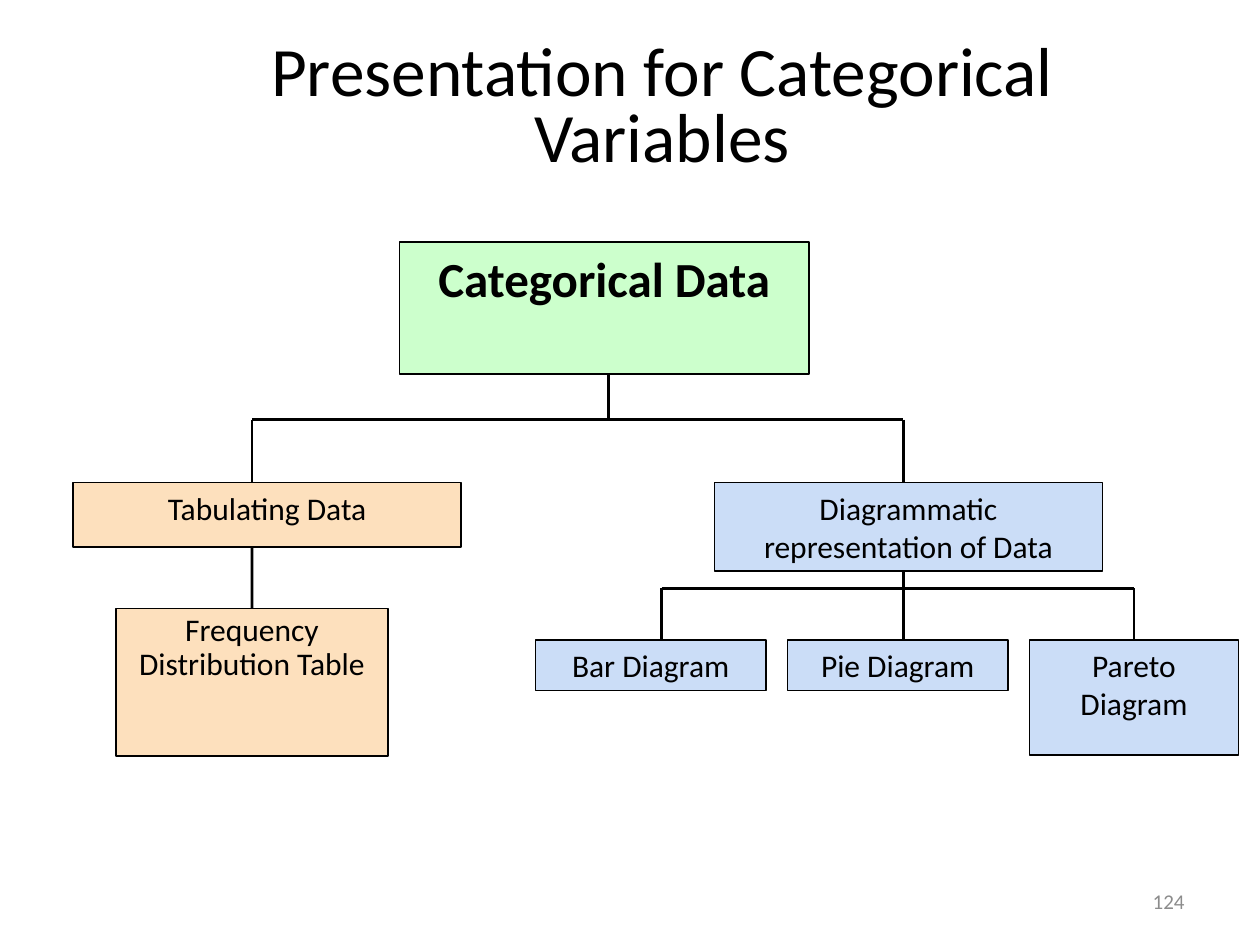
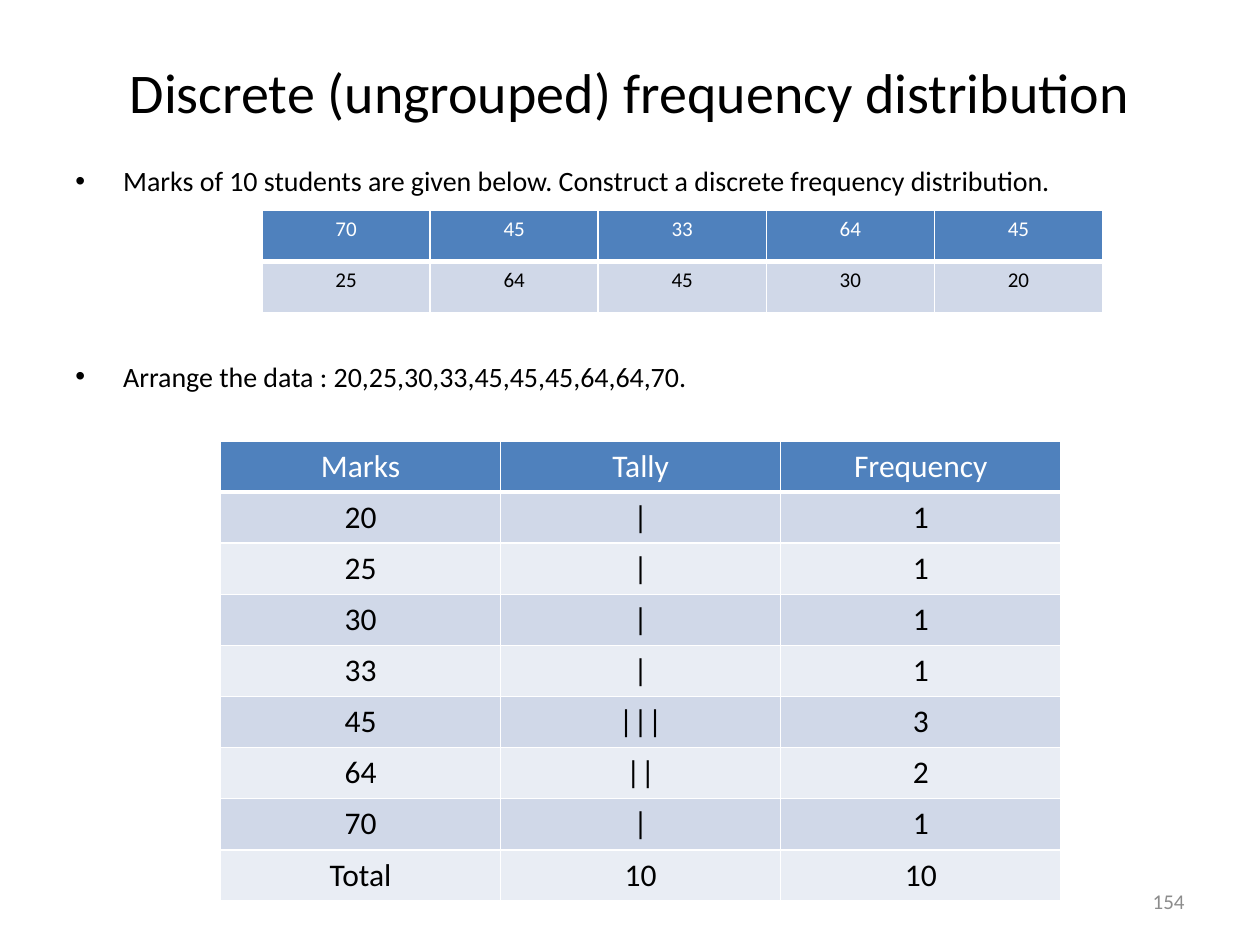
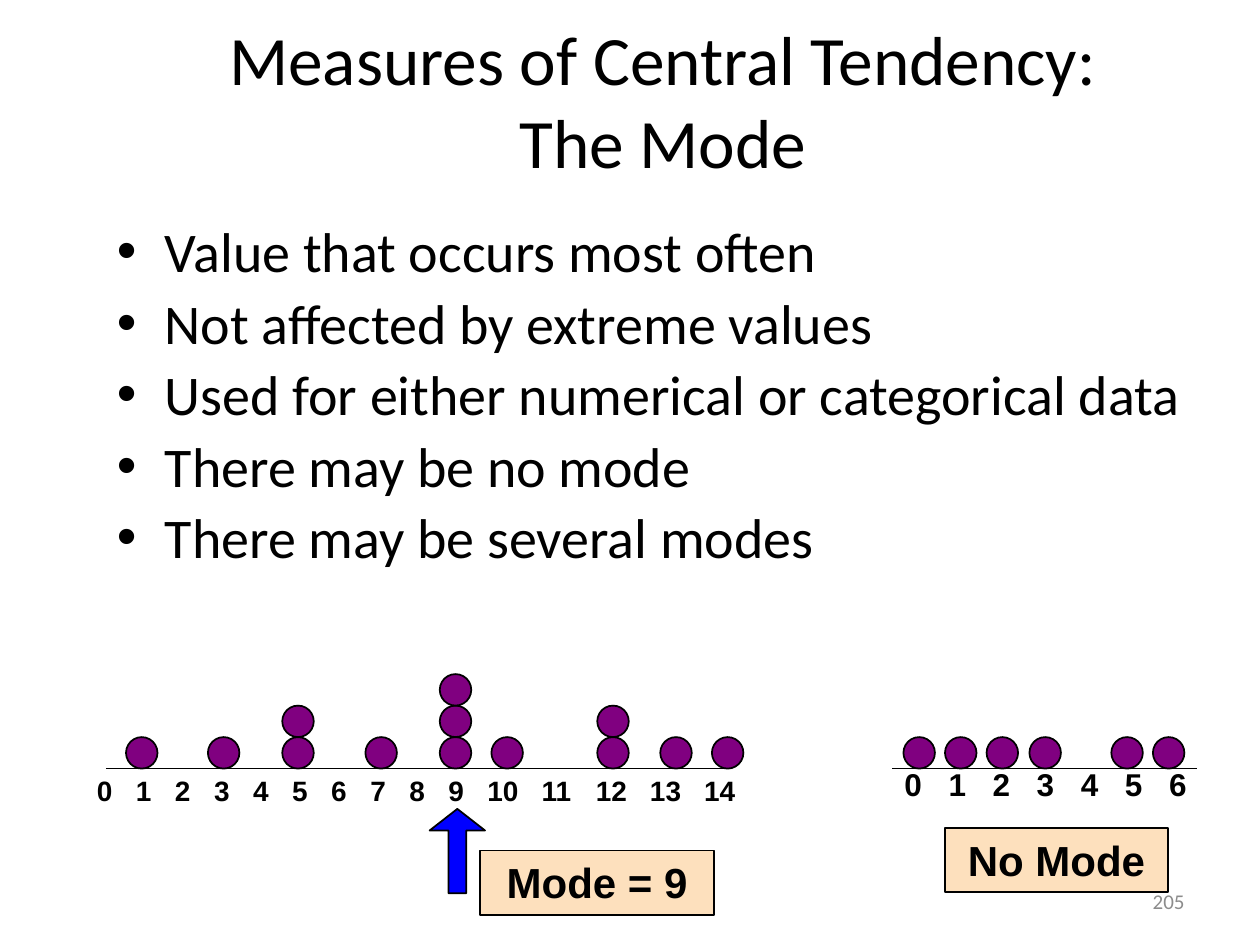
"""Build three statistics slides: a chart tree, frequency tables and the mode."""
from dataclasses import dataclass

from lxml import etree
from pptx import Presentation
from pptx.dml.color import RGBColor
from pptx.enum import shapes, text
from pptx.oxml import ns
from pptx.util import Inches, Pt


@dataclass(frozen=True)
class Theme:
    """Colours, fonts and type sizes shared by the slides."""
    ink: str = "000000"
    white: str = "FFFFFF"
    muted: str = "8C8C8C"
    green: str = "CCFFCC"
    peach: str = "FDE0BD"
    sky: str = "CBDDF7"
    purple: str = "800080"
    blue: str = "0000FF"
    header: str = "4F81BD"
    bands: tuple = ("D0D8E8", "E9EDF4")
    body_font: str = "Calibri"
    plot_font: str = "Arial"
    title: float = 39.6
    small_title: float = 32
    bullet: float = 32
    heading: float = 28
    verdict: float = 24
    label: float = 18
    note: float = 16
    footer: float = 12


@dataclass(frozen=True)
class Box:
    """A rectangle in inches."""
    left: float
    top: float
    width: float
    height: float

    def inner(self, left, top, width, height):
        """Return a rectangle offset from this one's corner."""
        return Box(self.left + left, self.top + top, width, height)

    def lengths(self):
        """Return the rectangle as slide lengths."""
        return [Inches(n) for n in (self.left, self.top, self.width, self.height)]


THEME = Theme()
ALIGN = text.PP_ALIGN
ANCHOR = text.MSO_ANCHOR
FOOTER = Box(7.17, 6.95, 2.33, 0.4)
DOT = 0.25


def rgb(colour):
    """Turn a hex string into a colour."""
    return RGBColor.from_string(colour)


def style(para, size, colour=THEME.ink, font=THEME.body_font, bold=False, align=ALIGN.LEFT):
    """Format a paragraph and its runs."""
    para.alignment = align
    for span in para.runs:
        span.font.name = font
        span.font.size = Pt(size)
        span.font.bold = bold
        span.font.color.rgb = rgb(colour)


def add_text(page, box, words, size, anchor=ANCHOR.TOP, spacing=None, **look):
    """Add a wrapped text box with one paragraph and return that paragraph."""
    frame = page.shapes.add_textbox(*box.lengths()).text_frame
    frame.word_wrap = True
    frame.vertical_anchor = anchor
    frame.text = words
    para = frame.paragraphs[0]
    para.line_spacing = spacing
    style(para, size, **look)
    return para


def add_title(page, box, words, size=THEME.title, spacing=None):
    """Add the centred slide title."""
    add_text(page, box, words, size, ANCHOR.MIDDLE, spacing, align=ALIGN.CENTER)


def add_footer(page, number):
    """Add the page number."""
    add_text(page, FOOTER, str(number), THEME.footer, ANCHOR.MIDDLE,
             colour=THEME.muted, align=ALIGN.RIGHT)


def add_bullets(page, box, lines, size, gap):
    """Add a bulleted list with an equal gap between its paragraphs."""
    frame = page.shapes.add_textbox(*box.lengths()).text_frame
    frame.word_wrap = True
    frame.text = "\n".join(lines)
    for index, para in enumerate(frame.paragraphs):
        props = para._p.get_or_add_pPr()
        props.set("marL", str(Inches(0.38)))
        props.set("indent", str(-Inches(0.38)))
        etree.SubElement(props, ns.qn("a:buFont"), typeface=THEME.plot_font)
        etree.SubElement(props, ns.qn("a:buChar"), char="•")
        if index:
            para.space_before = Pt(gap)
        style(para, size)


def add_figure(page, kind, box, fill):
    """Add an outlined preset shape."""
    figure = page.shapes.add_shape(kind, *box.lengths())
    figure.shadow.inherit = False
    figure.fill.solid()
    figure.fill.fore_color.rgb = rgb(fill)
    figure.line.color.rgb = rgb(THEME.ink)
    figure.line.width = Pt(1)
    return figure


def add_panel(page, box, words, fill, size=THEME.label, spacing=None, **look):
    """Add a filled rectangle with centred text at its top."""
    panel = add_figure(page, shapes.MSO_SHAPE.RECTANGLE, box, fill)
    frame = panel.text_frame
    frame.word_wrap = True
    frame.vertical_anchor = ANCHOR.TOP
    frame.text = words
    frame.paragraphs[0].line_spacing = spacing
    style(frame.paragraphs[0], size, align=ALIGN.CENTER, **look)
    return panel


def add_line(page, box, start, end, width):
    """Add a straight line between two points of a box."""
    points = [Inches(n) for x, y in (start, end) for n in (box.left + x, box.top + y)]
    line = page.shapes.add_connector(shapes.MSO_CONNECTOR.STRAIGHT, *points)
    line.line.color.rgb = rgb(THEME.ink)
    line.line.width = Pt(width)
    etree.SubElement(line._element.spPr, ns.qn("a:effectLst"))
    return line


def add_tree(page, area):
    """Add the tree of ways to present categorical data."""
    branches = [
        ((6.67, 2.83), (6.67, 3.58)),
        ((4.33, 1.08), (4.33, 1.83)),
        ((1.5, 1.83), (6.67, 1.83)),
        ((1.5, 1.83), (1.5, 2.58)),
        ((6.67, 1.83), (6.67, 2.33)),
        ((4.75, 3.17), (8.5, 3.17)),
        ((4.75, 3.17), (4.75, 3.58)),
    ]
    for start, end in branches:
        add_line(page, area, start, end, 1.5)
    add_panel(page, area.inner(2.67, 0.42, 3.25, 1.05), "Categorical Data",
              THEME.green, THEME.heading, bold=True)
    add_panel(page, area.inner(5.17, 2.33, 3.08, 0.7),
              "Diagrammatic representation of Data", THEME.sky)
    add_panel(page, area.inner(5.75, 3.58, 1.75, 0.4), "Pie Diagram", THEME.sky)
    pareto = add_panel(page, area.inner(7.67, 3.58, 1.66, 0.91), "Pareto Diagram", THEME.sky)
    add_panel(page, area.inner(3.75, 3.58, 1.83, 0.4), "Bar Diagram", THEME.sky)
    frequency = add_panel(page, area.inner(0.42, 3.33, 2.16, 1.17),
                          "Frequency Distribution Table", THEME.peach, spacing=0.9)
    add_panel(page, area.inner(0.08, 2.33, 3.08, 0.51), "Tabulating Data", THEME.peach)
    add_line(page, area, (8.5, 3.17), (8.5, 3.58), 1.5).end_connect(pareto, 0)
    add_line(page, area, (1.5, 2.84), (1.5, 3.33), 1.5).end_connect(frequency, 0)


def add_borders(cell, bottom):
    """Give a cell white borders with the bottom one in its own width."""
    props = cell._tc.get_or_add_tcPr()
    for side, width in (("L", 1), ("R", 1), ("T", 1), ("B", bottom)):
        line = etree.SubElement(props, ns.qn("a:ln" + side), w=str(Pt(width)))
        fill = etree.SubElement(line, ns.qn("a:solidFill"))
        etree.SubElement(fill, ns.qn("a:srgbClr"), val=THEME.white)


def add_grid(page, box, rows, size):
    """Add a table with a header row and banded rows."""
    table = page.shapes.add_table(len(rows), len(rows[0]), *box.lengths()).table
    for r, values in enumerate(rows):
        for c, value in enumerate(values):
            cell = table.cell(r, c)
            add_borders(cell, 1 if r else 3)
            cell.fill.solid()
            cell.fill.fore_color.rgb = rgb(THEME.bands[(r - 1) % 2] if r else THEME.header)
            cell.text = str(value)
            style(cell.text_frame.paragraphs[0], size,
                  THEME.ink if r else THEME.white, align=ALIGN.CENTER)


def add_dot_plot(page, area, axis, stacks, labels, stops, label_top, size):
    """Add an axis, its tabbed labels and stacks of dots."""
    base = 3 * DOT
    add_line(page, area, (axis[0], base), (axis[1], base), 1)
    para = add_text(page, area.inner(0, label_top, area.width, 0.4), "\t".join(labels),
                    size, font=THEME.plot_font, bold=True)
    tabs = etree.SubElement(para._p.get_or_add_pPr(), ns.qn("a:tabLst"))
    for stop in stops:
        etree.SubElement(tabs, ns.qn("a:tab"), pos=str(Inches(stop)), algn="l")
    for left, count in stacks:
        for level in range(count):
            add_figure(page, shapes.MSO_SHAPE.OVAL,
                       area.inner(left, base - (level + 1) * DOT, DOT, DOT), THEME.purple)


def add_verdict(page, box, words):
    """Add the panel that states a plot's mode."""
    add_panel(page, box, words, THEME.peach, THEME.verdict, font=THEME.plot_font, bold=True)


def add_single_mode(page, area):
    """Add the plot whose most frequent value is nine."""
    stacks = [(0.33, 1), (0.98, 1), (1.57, 2), (2.23, 1), (2.82, 3),
              (3.23, 1), (4.07, 2), (4.57, 1), (4.98, 1)]
    stops = [0.31 * min(n, 10) + 0.43 * max(n - 10, 0) for n in range(1, 15)]
    add_dot_plot(page, area, (0.17, 5.09), stacks, [str(n) for n in range(15)],
                 stops, 0.74, THEME.note)
    add_verdict(page, area.inner(3.14, 1.4, 1.86, 0.51), "Mode = 9")
    arrow = add_figure(page, shapes.MSO_SHAPE.UP_ARROW,
                       area.inner(2.74, 1.07, 0.44, 0.67), THEME.blue)
    arrow.adjustments[0] = 0.32
    arrow.adjustments[1] = 0.39


def add_no_mode(page, area):
    """Add the plot in which no value repeats."""
    stacks = [(left, 1) for left in (0.09, 0.42, 0.75, 1.09, 1.74, 2.07)]
    add_dot_plot(page, area, (0, 2.42), stacks, [str(n) for n in range(7)],
                 [0.35 * n for n in range(1, 7)], 0.67, THEME.label)
    add_verdict(page, area.inner(0.42, 1.22, 1.77, 0.51), "No Mode")


def tree_page(page):
    """Fill the slide on presenting categorical variables."""
    add_title(page, Box(1.42, 0.33, 7.67, 1.08),
              "Presentation for Categorical Variables", spacing=0.8)
    add_tree(page, Box(0.5, 1.5, 9.4, 4.5))
    add_footer(page, 124)


def frequency_page(page):
    """Fill the slide on the discrete frequency distribution."""
    add_title(page, Box(0.5, 0.37, 9, 0.7),
              "Discrete (ungrouped) frequency distribution", THEME.small_title)
    add_bullets(page, Box(0.5, 1.25, 9, 6.08), [
        "Marks of 10 students are given below. Construct a discrete frequency distribution.",
        "Arrange the data : 20,25,30,33,45,45,45,64,64,70.",
    ], THEME.note, 92.5)
    add_grid(page, Box(2.08, 1.67, 6.67, 0.81),
             [(70, 45, 33, 64, 45), (25, 64, 45, 30, 20)], THEME.footer)
    counts = {20: 1, 25: 1, 30: 1, 33: 1, 45: 3, 64: 2, 70: 1}
    total = sum(counts.values())
    rows = [("Marks", "Tally", "Frequency")]
    rows += [(mark, "|" * count, count) for mark, count in counts.items()]
    rows.append(("Total", total, total))
    add_grid(page, Box(1.75, 3.5, 6.67, 3.65), rows, THEME.label)
    add_footer(page, 154)


def mode_page(page):
    """Fill the slide on the mode."""
    add_title(page, Box(1, 0.25, 8.52, 1.08), "Measures of Central Tendency:\vThe Mode")
    add_bullets(page, Box(0.83, 1.67, 8.83, 4.96), [
        "Value that occurs most often",
        "Not affected by extreme values",
        "Used for either numerical or categorical data",
        "There may be no mode",
        "There may be several modes",
    ], THEME.bullet, 2.5)
    add_single_mode(page, Box(0.67, 5.35, 5.92, 1.91))
    add_no_mode(page, Box(7.08, 5.35, 2.77, 1.73))
    add_footer(page, 205)


def main():
    """Build and save the deck."""
    deck = Presentation()
    deck.slide_width = Inches(10)
    deck.slide_height = Inches(7.5)
    for fill_page in (tree_page, frequency_page, mode_page):
        fill_page(deck.slides.add_slide(deck.slide_layouts[6]))
    deck.save("out.pptx")


if __name__ == "__main__":
    main()
